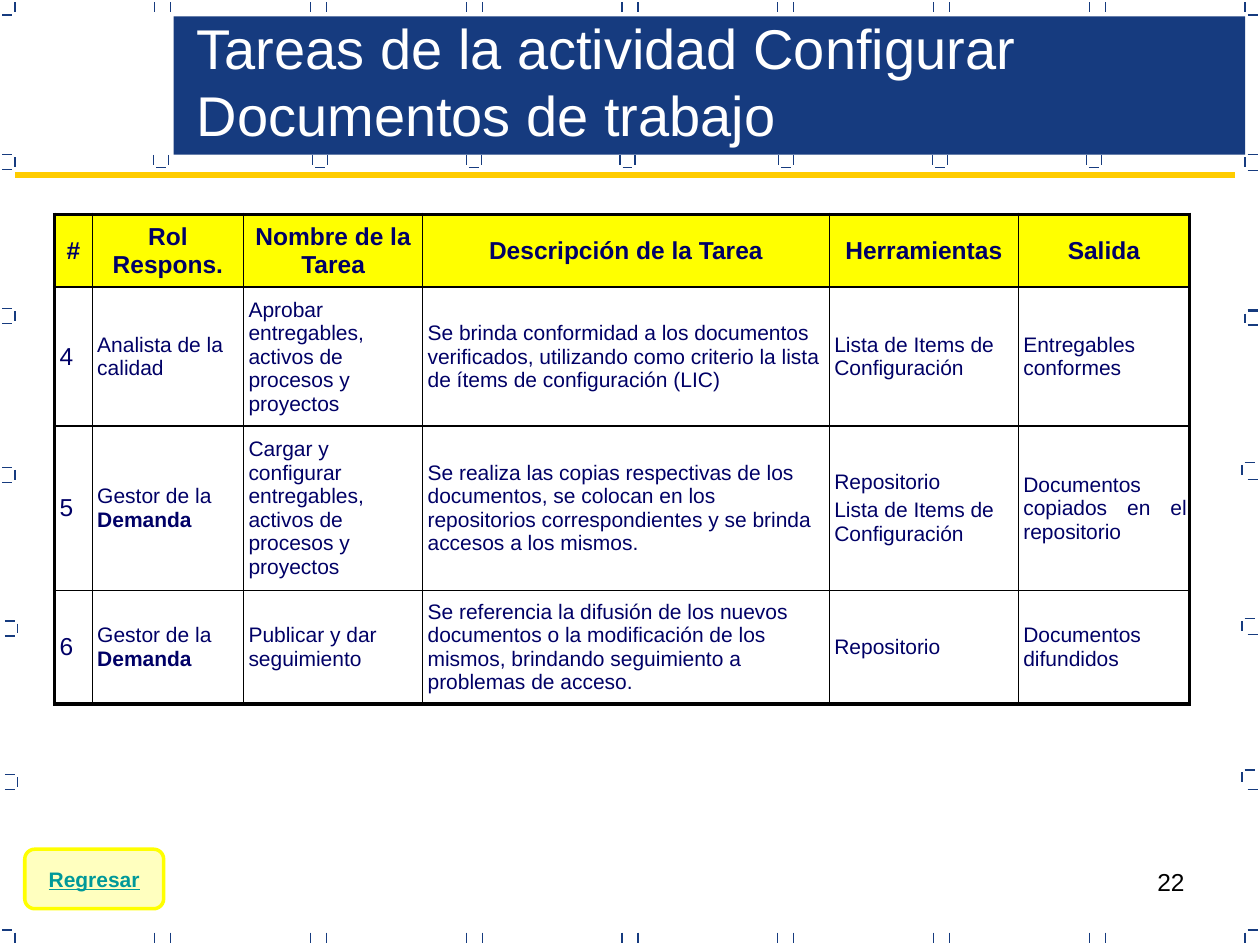
from dataclasses import dataclass

from lxml.etree import SubElement
from pptx import Presentation
from pptx.dml.color import RGBColor
from pptx.enum.shapes import MSO_CONNECTOR, MSO_SHAPE
from pptx.enum.text import MSO_ANCHOR, MSO_AUTO_SIZE, PP_ALIGN
from pptx.oxml.ns import qn
from pptx.util import Cm, Pt


@dataclass(frozen=True)
class Theme:
    font: str = "Arial"
    navy: str = "163B7F"
    gold: str = "FFCC00"
    yellow: str = "FFFF00"
    ink: str = "000066"
    teal: str = "009999"
    black: str = "000000"
    white: str = "FFFFFF"
    title: int = 32
    head: int = 14
    body: int = 12
    thin: float = 1
    thick: float = 2.25


def set_attrs(obj, values):
    for name, value in values.items():
        setattr(obj, name, value)


class SlideBuilder:
    def __init__(self, slide, theme):
        self.s, self.t = slide, theme

    def run(self, p, text, size, color, **fmt):
        r = p.add_run()
        r.text = text
        set_attrs(r.font, {"name": self.t.font, "size": Pt(size), **fmt})
        r.font.color.rgb = RGBColor.from_string(color)

    def line(self, x1, y1, x2, y2, color, width):
        sp = self.s.shapes.add_connector(
            MSO_CONNECTOR.STRAIGHT, Cm(x1), Cm(y1), Cm(x2), Cm(y2))
        sp.line.color.rgb = RGBColor.from_string(color)
        sp.line.width = Pt(width)
        SubElement(sp._element.spPr, qn("a:effectLst"))

    def tick(self, x, y, dx=0.0, dy=0.0):
        self.line(x, y, x + dx, y + dy, self.t.navy, 0.75)

    def shape(self, kind, x, y, w, h, fill):
        sp = self.s.shapes.add_shape(kind, Cm(x), Cm(y), Cm(w), Cm(h))
        sp.shadow.inherit = False
        sp.fill.solid()
        sp.fill.fore_color.rgb = RGBColor.from_string(fill)
        sp.line.fill.background()
        return sp

    def title(self, text, x, y, w, h):
        sp = self.s.shapes.title
        set_attrs(sp, {"left": Cm(x), "top": Cm(y), "width": Cm(w), "height": Cm(h)})
        self.s.shapes._spTree.append(sp._element)  # in front of the band
        tf = sp.text_frame
        set_attrs(tf, {"word_wrap": True, "vertical_anchor": MSO_ANCHOR.TOP,
                       "auto_size": MSO_AUTO_SIZE.SHAPE_TO_FIT_TEXT})
        tf.paragraphs[0].alignment = PP_ALIGN.LEFT
        self.run(tf.paragraphs[0], text, self.t.title, self.t.white)

    def text(self, text, x, y, w, h, size, color, align):
        tf = self.s.shapes.add_textbox(Cm(x), Cm(y), Cm(w), Cm(h)).text_frame
        tf.word_wrap = True
        tf.paragraphs[0].alignment = align
        self.run(tf.paragraphs[0], text, size, color)

    def button(self, text, x, y, w, h):
        sp = self.shape(MSO_SHAPE.FLOWCHART_ALTERNATE_PROCESS, x, y, w, h, self.t.yellow)
        color = sp._element.spPr.find(qn("a:solidFill"))[0]
        SubElement(color, qn("a:alpha"), val="25000")
        sp.line.color.rgb = RGBColor.from_string(self.t.yellow)
        sp.line.width = Pt(2)
        tf = sp.text_frame
        set_attrs(tf, {"word_wrap": False, "vertical_anchor": MSO_ANCHOR.MIDDLE})
        tf.paragraphs[0].alignment = PP_ALIGN.CENTER
        self.run(tf.paragraphs[0], text, self.t.body, self.t.teal,
                 bold=True, underline=True)

    def borders(self, cell, **widths):
        tcPr = cell._tc.get_or_add_tcPr()
        for side, width in widths.items():
            ln = SubElement(tcPr, qn(f"a:ln{side}"), w=str(Pt(width)))
            fill = SubElement(ln, qn("a:solidFill"))
            SubElement(fill, qn("a:srgbClr"), val=self.t.black)

    def cell(self, cell, paragraphs, size, align, bold, margins):
        set_attrs(cell, {"vertical_anchor": MSO_ANCHOR.MIDDLE,
                         "margin_left": Cm(margins[0]), "margin_right": Cm(margins[1]),
                         "margin_top": Cm(0.13), "margin_bottom": Cm(0.13)})
        tf = cell.text_frame
        for i, runs in enumerate(paragraphs):
            p = tf.add_paragraph() if i else tf.paragraphs[0]
            set_attrs(p, {"alignment": align, "space_before": Pt(size * 0.2)})
            for j, text in enumerate(runs):
                # a second run is the emphasised one
                self.run(p, text, size, self.t.ink, bold=bold or j > 0)

    def table(self, x, y, widths, heights, rows):
        t = self.t
        last_row, last_col = len(heights) - 1, len(widths) - 1
        tbl = self.s.shapes.add_table(len(heights), len(widths), Cm(x), Cm(y),
                                      Cm(sum(widths)), Cm(sum(heights))).table
        set_attrs(tbl, {"first_row": False, "horz_banding": False})
        for col, width in zip(tbl.columns, widths):
            col.width = Cm(width)
        for row, height in zip(tbl.rows, heights):
            row.height = Cm(height)
        for i, row in enumerate(rows):
            for j, paragraphs in enumerate(row):
                cell, header = tbl.cell(i, j), i == 0
                align = (PP_ALIGN.CENTER if header else
                         PP_ALIGN.JUSTIFY if j == last_col else PP_ALIGN.LEFT)
                self.cell(cell, paragraphs, t.head if header or j == 0 else t.body,
                          align, header, (0, 0) if header else (0.1, 0.05))
                edges = {"L": j == 0, "R": j == last_col, "T": i == 0, "B": i == last_row}
                self.borders(cell, **{k: t.thick if outer else t.thin
                                      for k, outer in edges.items()})
                if header:
                    cell.fill.solid()
                    cell.fill.fore_color.rgb = RGBColor.from_string(t.yellow)
                else:
                    cell.fill.background()


TICK = 0.2
HEADERS = ["#", "Rol Respons.", "Nombre de la Tarea", "Descripción de la Tarea",
           "Herramientas", "Salida"]
MANAGER = [["Gestor de la ", "Demanda"]]
ROWS = [
    [[[h]] for h in HEADERS],
    [[["4"]], [["Analista de la calidad"]],
     [["Aprobar entregables, activos de procesos y proyectos"]],
     [["Se brinda conformidad a los documentos verificados, utilizando como "
       "criterio la lista de ítems de configuración (LIC)"]],
     [["Lista de Items de Configuración"]], [["Entregables conformes"]]],
    [[["5"]], MANAGER,
     [["Cargar y configurar entregables, activos de procesos y proyectos"]],
     [["Se realiza las copias respectivas de los documentos, se colocan en los "
       "repositorios correspondientes y se brinda accesos a los mismos."]],
     [["Repositorio"], ["Lista de Items de Configuración"]],
     [["Documentos copiados en el repositorio"]]],
    [[["6"]], MANAGER, [["Publicar y dar seguimiento"]],
     [["Se referencia la difusión de los nuevos documentos o la modificación de los "
       "mismos, brindando seguimiento a problemas de acceso."]],
     [["Repositorio"]], [["Documentos difundidos"]]],
]


def draw_frame(b):
    # Pairs of ticks along the top and bottom edges
    for i in range(7):
        for x in (3.12 + 3.14 * i, 3.44 + 3.14 * i):
            for y in (0.05, 18.8):
                b.tick(x, y, dy=TICK)
    # Corner marks
    for x_vert, x_horz in ((0.3, 0.05), (25.1, 25.15)):
        for y_vert, y_horz in ((0.05, 0.3), (18.8, 18.75)):
            b.tick(x_vert, y_vert, dy=TICK)
            b.tick(x_horz, y_horz, dx=TICK)
    # Brackets on the left edge
    for x, y in ((0.05, 3.12), (0.05, 6.22), (0.05, 9.42), (0.1, 12.52), (0.1, 15.62)):
        b.tick(x, y, dx=TICK)
        b.tick(x + 0.25, y + 0.05, dy=TICK)
        b.tick(x, y + 0.3, dx=TICK)
    # Brackets on the right edge
    for i, (x, y) in enumerate(((25.1, 3.12), (25.1, 6.27), (25.04, 9.32),
                                (25.04, 12.47), (25.04, 15.52))):
        b.tick(x + 0.05, y, dx=TICK)
        b.tick(x, y + 0.05, dy=TICK)
        b.tick(25.15, 3.43 + 3.12 * i, dx=TICK)
    b.tick(25.15, 6.25, dx=TICK)
    # Title band and the cups under it
    b.shape(MSO_SHAPE.RECTANGLE, 3.5, 0.33, 21.6, 2.79, b.t.navy)
    for x in (3.1, 6.3, 9.4, 12.5, 15.7, 18.8, 21.9):
        b.tick(x, 3.12, dy=TICK)
        b.tick(x + 0.3, 3.12, dy=TICK)
        b.tick(x + 0.05, 3.38, dx=TICK)


def main():
    prs = Presentation()
    prs.slide_width, prs.slide_height = Cm(25.4), Cm(19.05)
    theme = Theme()
    b = SlideBuilder(prs.slides.add_slide(prs.slide_layouts[5]), theme)

    b.text("22", 18.21, 17.35, 5.92, 1.32, theme.head, theme.black, PP_ALIGN.RIGHT)
    draw_frame(b)
    # Title and rule
    b.title("Tareas de la actividad Configurar Documentos de trabajo",
            3.71, 0.15, 21.21, 2.97)
    b.line(0.3, 3.53, 24.9, 3.53, theme.gold, 3)
    # Task table
    b.table(1.1, 4.32, [0.76, 3.05, 3.61, 8.2, 3.81, 3.45],
            [1.47, 2.8, 3.29, 2.29], ROWS)
    # Back button
    b.button("Regresar", 0.5, 17.12, 2.8, 1.2)
    prs.save("out.pptx")


if __name__ == "__main__":
    main()
